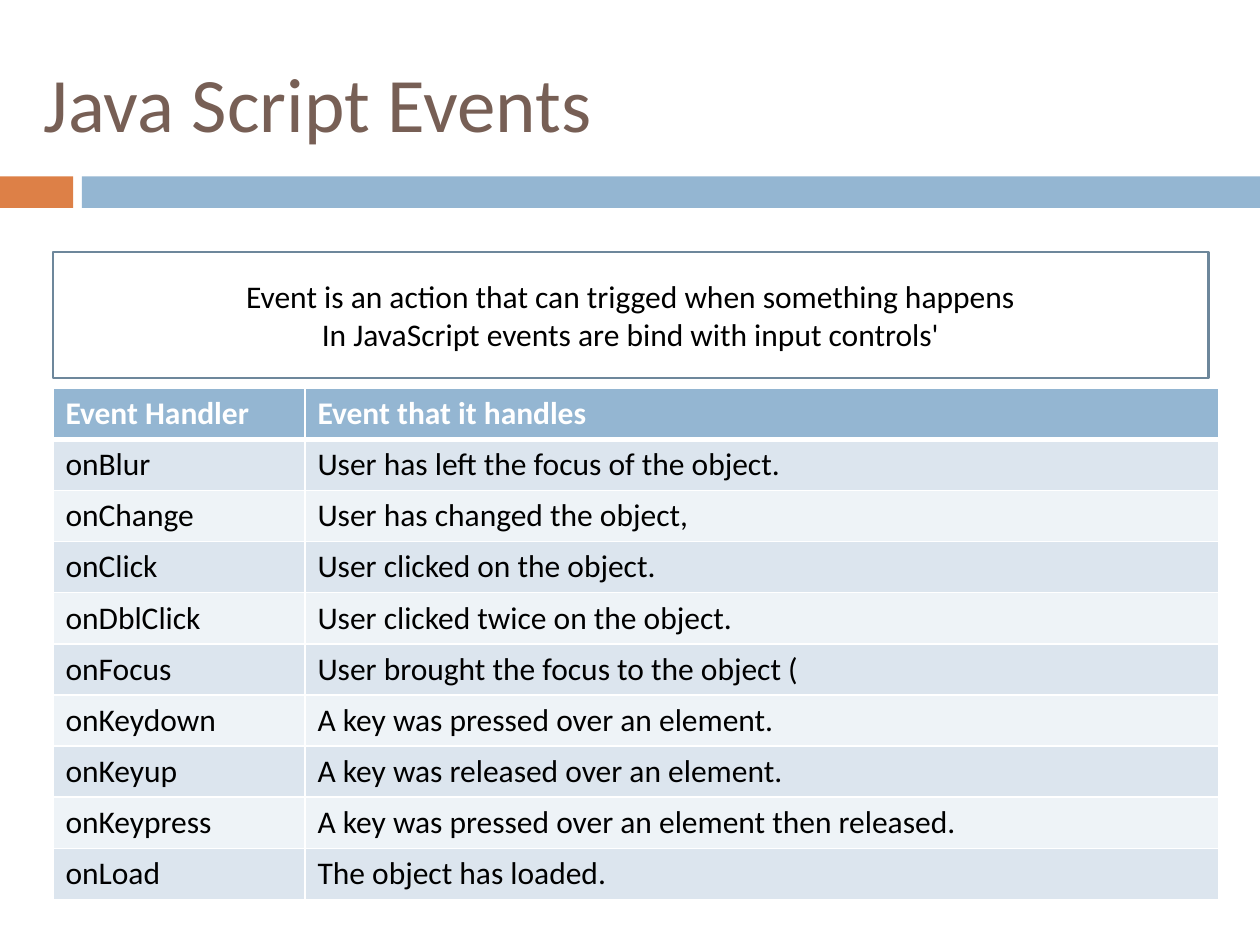
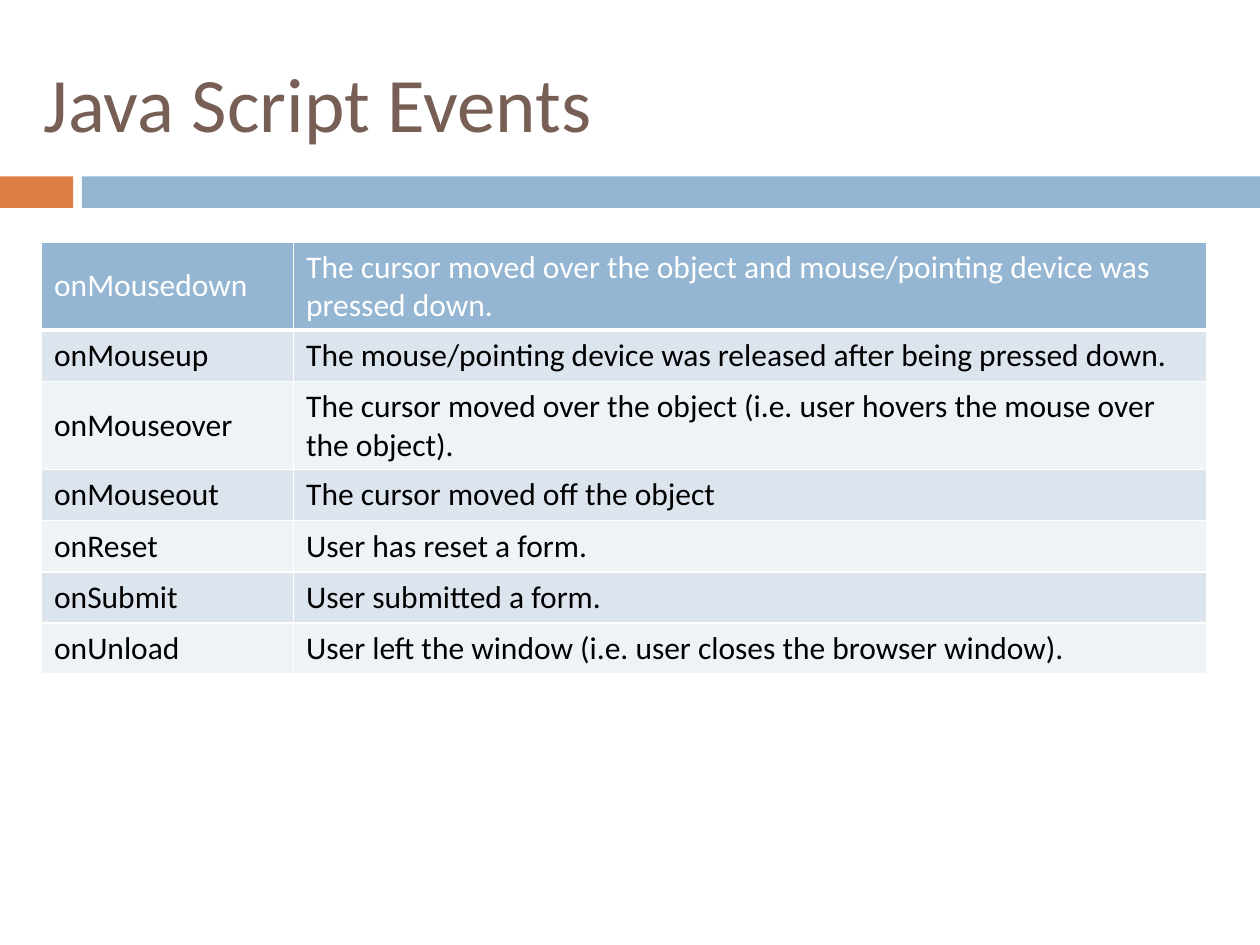
from lxml.etree import SubElement
from pptx import Presentation
from pptx.dml.color import RGBColor
from pptx.enum.shapes import MSO_SHAPE
from pptx.enum.text import MSO_ANCHOR, PP_ALIGN
from pptx.oxml.ns import qn
from pptx.util import Inches, Pt

FONT = "Calibri"
WHITE = RGBColor(0xFF, 0xFF, 0xFF)
BLACK = RGBColor(0x00, 0x00, 0x00)
BROWN = RGBColor(0x77, 0x5F, 0x55)
ORANGE = RGBColor(0xDD, 0x80, 0x47)
BLUE = RGBColor(0x94, 0xB6, 0xD2)
SLATE = RGBColor(0x6D, 0x87, 0x9B)
ROW_FILLS = (RGBColor(0xEE, 0xF3, 0xF7), RGBColor(0xDC, 0xE5, 0xEE))

TITLE = "Java Script Events"
COLUMN_WIDTHS = (2, 7.25)
ROW_HEIGHT = Inches(4.06) // 10

INTRODUCTION = (
    "Event is an action that can trigged when something happens",
    "In JavaScript events are bind with input controls'",
)
GENERAL_EVENTS = (
    ("Event Handler", "Event that it handles"),
    ("onBlur", "User has left the focus of the object."),
    ("onChange", "User has changed the object,"),
    ("onClick", "User clicked on the object."),
    ("onDblClick", "User clicked twice on the object."),
    ("onFocus", "User brought the focus to the object ("),
    ("onKeydown", "A key was pressed over an element."),
    ("onKeyup", "A key was released over an element."),
    ("onKeypress", "A key was pressed over an element then released."),
    ("onLoad", "The object has loaded."),
)
MOUSE_AND_FORM_EVENTS = (
    ("onMousedown", "The cursor moved over the object and mouse/pointing device was pressed down."),
    ("onMouseup", "The mouse/pointing device was released after being pressed down."),
    ("onMouseover", "The cursor moved over the object (i.e. user hovers the mouse over the object)."),
    ("onMouseout", "The cursor moved off the object"),
    ("onReset", "User has reset a form."),
    ("onSubmit", "User submitted a form."),
    ("onUnload", "User left the window (i.e. user closes the browser window)."),
)


def write_run(paragraph, text, size=18, color=BLACK, bold=False):
    run = paragraph.add_run()
    run.text = text
    run.font.name = FONT
    run.font.size = Pt(size)
    run.font.bold = bold
    run.font.color.rgb = color


def add_rectangle(slide, left, top, width, height, fill, line=None):
    shape = slide.shapes.add_shape(
        MSO_SHAPE.RECTANGLE, Inches(left), Inches(top), Inches(width), Inches(height))
    shape.shadow.inherit = False
    shape.fill.solid()
    shape.fill.fore_color.rgb = fill
    if line is None:
        shape.line.fill.background()
    else:
        shape.line.color.rgb = line
        shape.line.width = Pt(1.5)
    return shape


def add_titled_slide(presentation):
    """Blank slide with the shared two-colour band and title."""
    slide = presentation.slides.add_slide(presentation.slide_layouts[6])
    add_rectangle(slide, 0, 1.4, 0.58, 0.25, ORANGE)
    add_rectangle(slide, 0.65, 1.4, 9.35, 0.25, BLUE)
    title = slide.shapes.add_textbox(Inches(0.25), Inches(0.17), Inches(9), Inches(1.27))
    frame = title.text_frame
    frame.word_wrap = True
    frame.vertical_anchor = MSO_ANCHOR.MIDDLE
    write_run(frame.paragraphs[0], TITLE, 44, BROWN)
    return slide


def add_introduction(slide, left, top, width, height):
    box = add_rectangle(slide, left, top, width, height, WHITE, SLATE)
    frame = box.text_frame
    frame.word_wrap = True
    frame.vertical_anchor = MSO_ANCHOR.MIDDLE
    for index, text in enumerate(INTRODUCTION):
        paragraph = frame.add_paragraph() if index else frame.paragraphs[0]
        paragraph.alignment = PP_ALIGN.CENTER
        write_run(paragraph, text)


def set_borders(cell, bottom_width):
    """White borders; they must precede the fill in the cell properties."""
    properties = cell._tc.get_or_add_tcPr()
    for side, width in (("L", 1), ("R", 1), ("T", 1), ("B", bottom_width)):
        border = SubElement(properties, qn(f"a:ln{side}"), w=str(Pt(width)))
        fill = SubElement(border, qn("a:solidFill"))
        SubElement(fill, qn("a:srgbClr"), val=str(WHITE))


def add_event_table(slide, left, top, rows, bold_header=False):
    table = slide.shapes.add_table(
        len(rows), len(COLUMN_WIDTHS), Inches(left), Inches(top),
        Inches(sum(COLUMN_WIDTHS)), ROW_HEIGHT * len(rows)).table
    for column, width in zip(table.columns, COLUMN_WIDTHS):
        column.width = Inches(width)
    for row_index, texts in enumerate(rows):
        is_header = row_index == 0
        for column_index, text in enumerate(texts):
            cell = table.cell(row_index, column_index)
            set_borders(cell, 3 if is_header else 1)
            cell.fill.solid()
            cell.fill.fore_color.rgb = BLUE if is_header else ROW_FILLS[row_index % 2]
            cell.vertical_anchor = MSO_ANCHOR.MIDDLE
            write_run(cell.text_frame.paragraphs[0], text,
                      color=WHITE if is_header else BLACK,
                      bold=is_header and bold_header)


def main():
    presentation = Presentation()
    presentation.slide_width = Inches(10)
    presentation.slide_height = Inches(7.5)

    # Introduction and general events
    slide = add_titled_slide(presentation)
    add_event_table(slide, 0.42, 3.08, GENERAL_EVENTS, bold_header=True)
    add_introduction(slide, 0.42, 2, 9.17, 1)

    # Mouse and form events
    slide = add_titled_slide(presentation)
    add_event_table(slide, 0.33, 1.92, MOUSE_AND_FORM_EVENTS)

    presentation.save("out.pptx")


if __name__ == "__main__":
    main()
